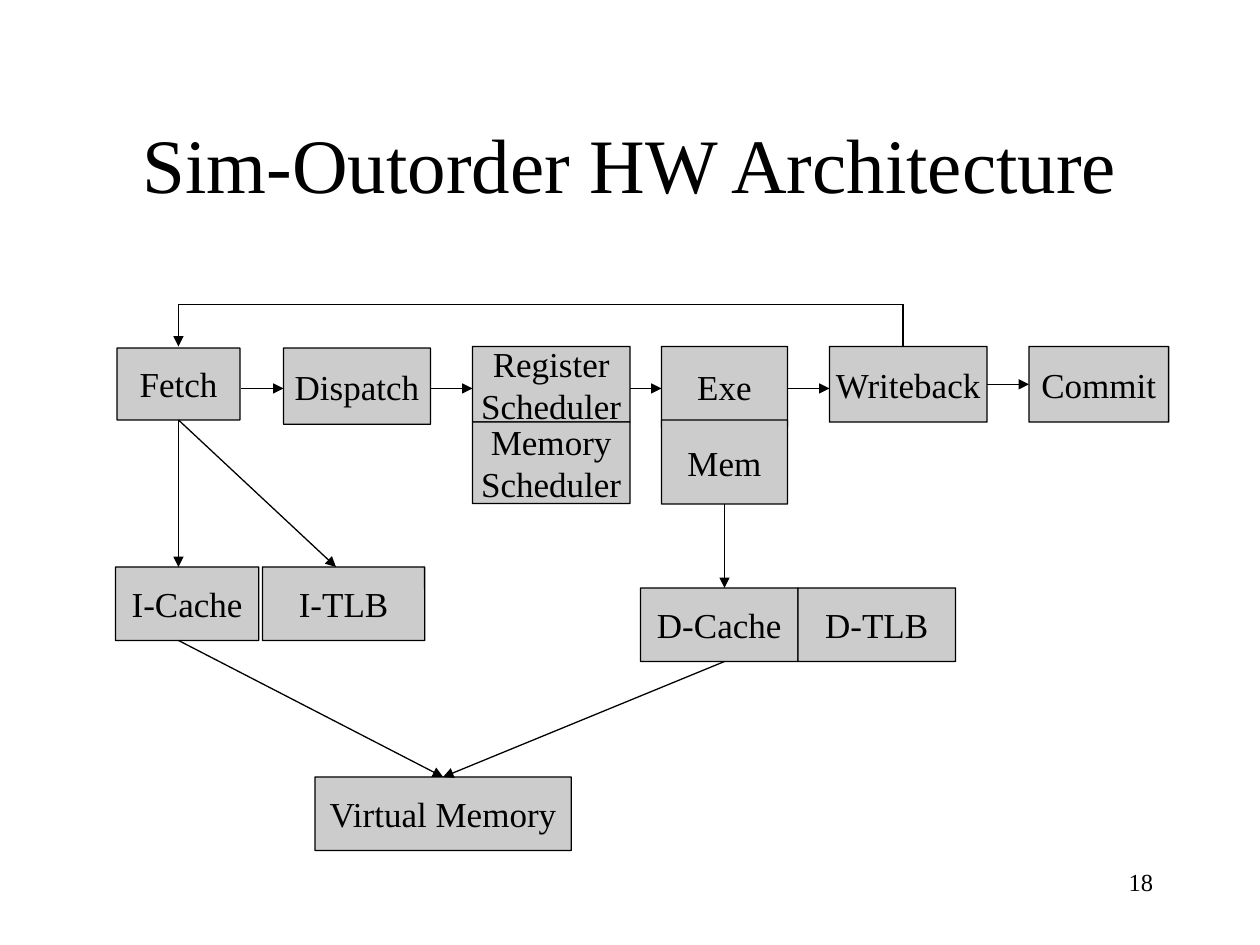
from lxml.etree import SubElement
from pptx import Presentation
from pptx.dml.color import RGBColor
from pptx.enum.shapes import MSO_CONNECTOR, MSO_SHAPE
from pptx.enum.text import MSO_ANCHOR, PP_ALIGN
from pptx.oxml.ns import qn
from pptx.util import Inches, Pt

# The slide is a grid of 120 columns by 90 rows, twelve to the inch
CELLS_PER_INCH = 12
FONT = "Times New Roman"
BLACK, GREY = "000000", "CCCCCC"
TOP, LEFT, BOTTOM, RIGHT = range(4)

# Each region is a box (left, top, width, height); its parts are relative to it
PIPELINE_BOX = (11, 29, 101, 19)
MEMORY_BOX = (11, 54, 81, 27)

# Label: left, top, width, height inside the region
PIPELINE_STAGES = {
    "Fetch": (0.15, 4.15, 11.7, 6.85),
    "Dispatch": (16, 4.15, 14, 7.25),
    "Register\nScheduler": (34, 4, 15, 7.2),
    "Exe": (52, 4, 12, 7.7),
    "Writeback": (68, 4, 15, 7.2),
    "Commit": (87, 4, 13.3, 7.2),
    "Memory\nScheduler": (34, 11.2, 15, 7.75),
    "Mem": (52, 11, 12, 8),
}
MEMORY_UNITS = {
    "I-Cache": (0, 0, 13.65, 7),
    "Virtual Memory": (19, 20, 24.4, 7),
    "D-Cache": (50, 2, 15, 7),
    "D-TLB": (65, 2, 15, 7),
    "I-TLB": (14, 0, 15.45, 7),
}


def grid(cells):
    return Inches(cells / CELLS_PER_INCH)


def colour(hex_value):
    return RGBColor.from_string(hex_value)


def write(paragraph, text, size, alignment):
    paragraph.alignment = alignment
    run = paragraph.add_run()
    run.text = text
    run.font.size = Pt(size)
    run.font.name = FONT
    run.font.color.rgb = colour(BLACK)


def add_unit(slide, label, left, top, width, height):
    shape = slide.shapes.add_shape(
        MSO_SHAPE.ROUNDED_RECTANGLE, *map(grid, (left, top, width, height)))
    shape.adjustments[0] = 0.003
    shape.shadow.inherit = False
    shape.fill.solid()
    shape.fill.fore_color.rgb = colour(GREY)
    shape.line.color.rgb = colour(BLACK)
    shape.line.width = Pt(0.75)
    frame = shape.text_frame
    frame.word_wrap = False
    frame.vertical_anchor = MSO_ANCHOR.MIDDLE
    for index, line in enumerate(label.split("\n")):
        paragraph = frame.add_paragraph() if index else frame.paragraphs[0]
        write(paragraph, line, 20, PP_ALIGN.CENTER)
    return shape


def add_units(slide, box, units):
    """Place the labelled units of one region and return them by label."""
    return {
        label: add_unit(slide, label, box[0] + left, box[1] + top, width, height)
        for label, (left, top, width, height) in units.items()
    }


def add_line(slide, start, end, arrow=True, begin=None, finish=None):
    """Draw from start to end; begin and finish are (shape, side) joins."""
    connector = slide.shapes.add_connector(
        MSO_CONNECTOR.STRAIGHT, *map(grid, (*start, *end)))
    connector.line.color.rgb = colour(BLACK)
    connector.line.width = Pt(0.75)
    if arrow:
        SubElement(connector.line._get_or_add_ln(), qn("a:tailEnd"), type="triangle")
    SubElement(connector._element.spPr, qn("a:effectLst"))
    if begin:
        connector.begin_connect(*begin)
    if finish:
        connector.end_connect(*finish)


def add_title(slide, left, top, width, height):
    title = slide.shapes.title
    title.left, title.top, title.width, title.height = map(
        grid, (left, top, width, height))
    title.text_frame.vertical_anchor = MSO_ANCHOR.MIDDLE
    write(title.text_frame.paragraphs[0], "Sim-Outorder HW Architecture",
          44, PP_ALIGN.CENTER)


def add_pipeline(slide, box):
    left, top = box[:2]
    stages = add_units(slide, box, PIPELINE_STAGES)

    # Feedback path from Writeback to Fetch
    fetch_x, writeback_x, stage_top = left + 6, left + 75, top + 4
    add_line(slide, (fetch_x, top), (writeback_x, top), arrow=False)
    add_line(slide, (writeback_x, top), (writeback_x, stage_top), arrow=False)
    add_line(slide, (fetch_x, top), (fetch_x, stage_top))

    # Flow from stage to stage
    flow_y = top + 8
    for start, end in ((12, 16), (30, 34), (49, 52), (64, 68)):
        add_line(slide, (left + start, flow_y), (left + end, flow_y))
    add_line(slide, (left + 83, flow_y), (left + 87, flow_y),
             begin=(stages["Writeback"], RIGHT), finish=(stages["Commit"], LEFT))
    return stages


def add_memory(slide, box, stages):
    left, top = box[:2]
    units = add_units(slide, box, MEMORY_UNITS)
    fetch_x, mem_x = left + 6, left + 58

    # Stages to caches and TLB
    for target_x in (fetch_x, left + 21):
        add_line(slide, (fetch_x, top - 14), (target_x, top),
                 begin=(stages["Fetch"], BOTTOM))
    add_line(slide, (mem_x, top - 6), (mem_x, top + 2),
             begin=(stages["Mem"], BOTTOM))

    # Caches to virtual memory
    for start in ((fetch_x, top + 7), (mem_x, top + 9)):
        add_line(slide, start, (left + 31, top + 20),
                 finish=(units["Virtual Memory"], TOP))


def add_page_number(slide, left, top, width, height):
    frame = slide.shapes.add_textbox(
        *map(grid, (left, top, width, height))).text_frame
    frame.word_wrap = True
    write(frame.paragraphs[0], "18", 14, PP_ALIGN.RIGHT)


def main():
    presentation = Presentation()
    presentation.slide_width, presentation.slide_height = grid(120), grid(90)
    slide = presentation.slides.add_slide(presentation.slide_layouts[5])
    add_title(slide, 9, 8, 102, 15)
    add_page_number(slide, 86, 82, 25, 6)
    stages = add_pipeline(slide, PIPELINE_BOX)
    add_memory(slide, MEMORY_BOX, stages)
    presentation.save("out.pptx")


if __name__ == "__main__":
    main()
